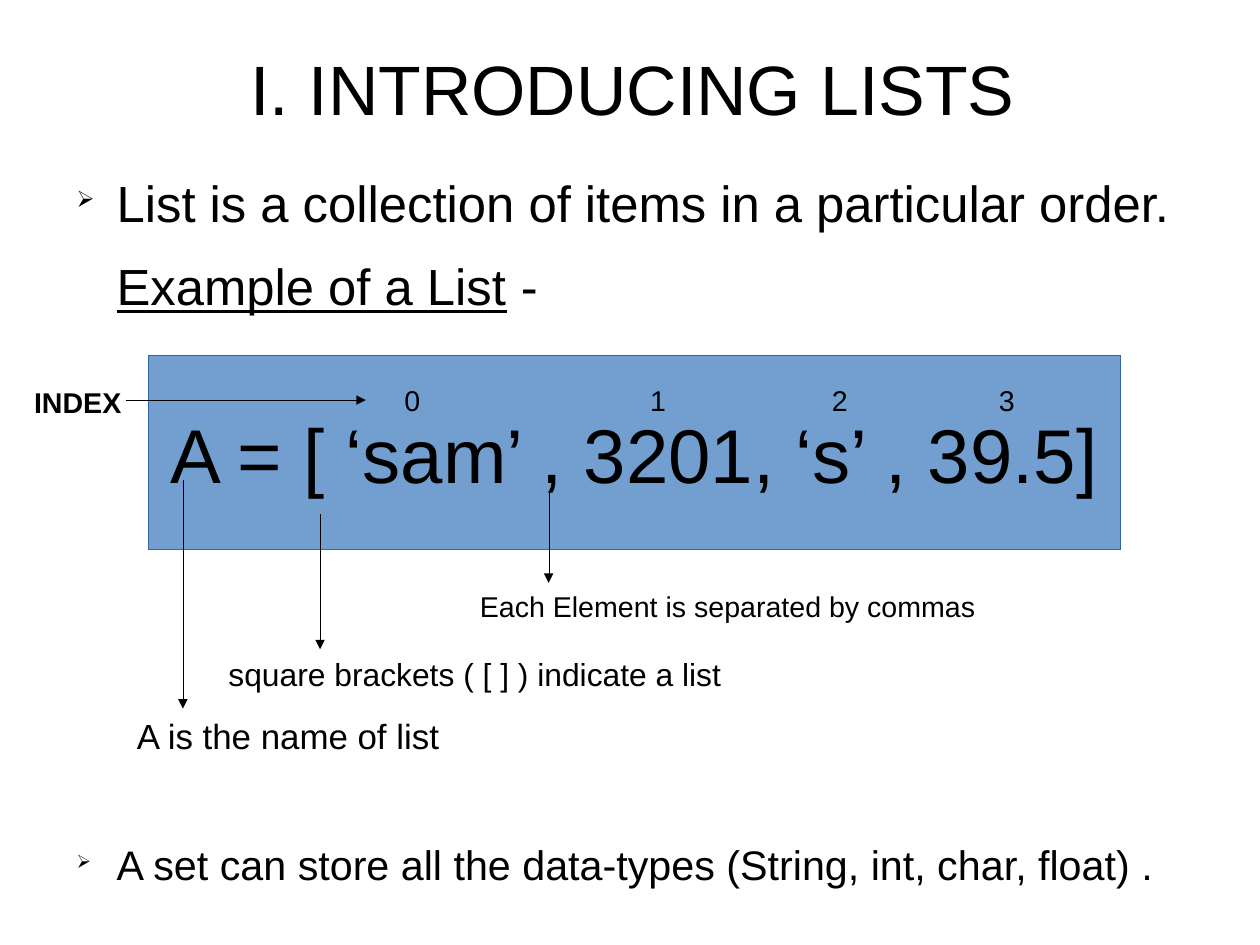
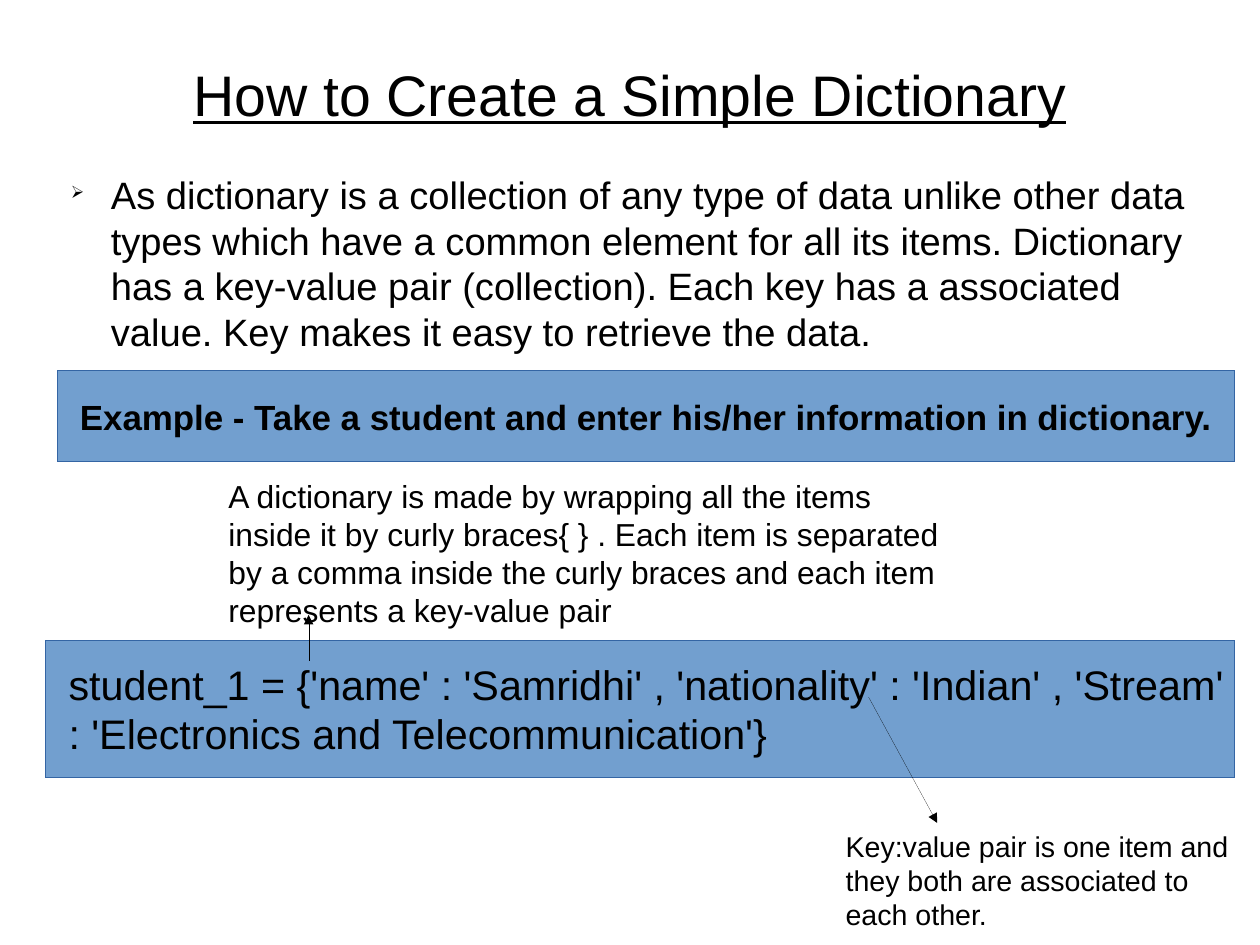
from dataclasses import dataclass

from lxml.etree import SubElement
from pptx import Presentation
from pptx.dml.color import RGBColor
from pptx.enum.shapes import MSO_CONNECTOR, MSO_SHAPE
from pptx.enum.text import MSO_ANCHOR, MSO_AUTO_SIZE, PP_ALIGN
from pptx.oxml.ns import qn
from pptx.util import Cm, Inches, Pt


@dataclass(frozen=True)
class Theme:
    font: str = "Arial"
    ink: RGBColor = RGBColor(0x00, 0x00, 0x00)
    panel: RGBColor = RGBColor(0x72, 0x9F, 0xCF)
    panel_edge: RGBColor = RGBColor(0x34, 0x65, 0xA4)
    title: int = 44
    subtitle: int = 36
    formula: int = 48
    lead: int = 32
    code: int = 26
    body: int = 24
    strong: int = 22
    note: int = 20
    label: int = 18
    paragraph_gap: float = 14.2
    hairline: float = 0.01


THEME = Theme()


def style_font(font, size, bold=False, underline=False):
    font.name = THEME.font
    font.size = Pt(size)
    font.color.rgb = THEME.ink
    font.bold = bold
    font.underline = underline


def style_runs(paragraph, size, **style):
    for span in paragraph.runs:
        style_font(span.font, size, **style)


def set_margins(frame, left=0.1, top=0.05, right=0.1, bottom=0.05):
    frame.margin_left, frame.margin_top = Inches(left), Inches(top)
    frame.margin_right, frame.margin_bottom = Inches(right), Inches(bottom)


def indent(paragraph, left=0.47, first_line=0.0):
    properties = paragraph._p.get_or_add_pPr()
    properties.set("marL", str(Inches(left)))
    properties.set("indent", str(Inches(first_line)))
    return properties


def add_page(deck, title, size, left, top, height, numbered=False, underline=False):
    page = deck.slides.add_slide(deck.slide_layouts[5])
    heading = page.shapes.title
    heading.left, heading.top = Inches(left), Inches(top)
    heading.width, heading.height = Inches(9.92), Inches(height)
    frame = heading.text_frame
    frame.text = title
    frame.auto_size = MSO_AUTO_SIZE.NONE
    frame.vertical_anchor = MSO_ANCHOR.MIDDLE
    set_margins(frame, 0, 0, 0, 0)
    paragraph = frame.paragraphs[0]
    paragraph.alignment = PP_ALIGN.CENTER
    if numbered:
        properties = indent(paragraph, 0.24, -0.24)
        SubElement(properties, qn("a:buAutoNum"), type="romanUcPeriod")
    style_runs(paragraph, size, underline=underline)
    return page


def add_text(page, text, left, top, width, height, size, **style):
    box = page.shapes.add_textbox(Inches(left), Inches(top), Inches(width), Inches(height))
    frame = box.text_frame
    frame.word_wrap = True
    set_margins(frame)
    frame.text = text
    style_runs(frame.paragraphs[0], size, **style)
    return frame


def add_bullet(page, text, left, top, height, size):
    frame = add_text(page, text, left, top, 9.92, height, size)
    set_margins(frame, 0, 0, 0, 0)
    properties = indent(frame.paragraphs[0], first_line=-0.35)
    SubElement(properties, qn("a:buSzPct"), val="45000")
    SubElement(properties, qn("a:buChar"), char="➢")
    return frame


def add_panel(page, text, left, top, width, height, size,
              align=PP_ALIGN.LEFT, wrap=True, **style):
    panel = page.shapes.add_shape(
        MSO_SHAPE.RECTANGLE, Inches(left), Inches(top), Inches(width), Inches(height))
    panel.shadow.inherit = False
    panel.fill.solid()
    panel.fill.fore_color.rgb = THEME.panel
    panel.line.color.rgb = THEME.panel_edge
    panel.line.width = Pt(THEME.hairline)
    frame = panel.text_frame
    frame.text = text
    frame.word_wrap = wrap
    frame.vertical_anchor = MSO_ANCHOR.MIDDLE
    if align == PP_ALIGN.LEFT:
        set_margins(frame, left=0.2, right=0)
    else:
        set_margins(frame)
    frame.paragraphs[0].alignment = align
    style_runs(frame.paragraphs[0], size, **style)


def add_arrow(page, start, end):
    arrow = page.shapes.add_connector(
        MSO_CONNECTOR.STRAIGHT, *(Inches(value) for value in (*start, *end)))
    arrow.line.color.rgb = THEME.ink
    arrow.line.width = Pt(THEME.hairline)
    SubElement(arrow.line._get_or_add_ln(), qn("a:tailEnd"), type="triangle")
    SubElement(arrow._element.spPr, qn("a:effectLst"))


def add_index_row(page, left, top, centres):
    """Number the list items, each figure centred on its own tab stop."""
    text = "".join(f"\t{index}" for index in range(len(centres)))
    frame = add_text(page, text, left, top, 8, 0.38, THEME.label)
    tabs = SubElement(frame.paragraphs[0]._p.get_or_add_pPr(), qn("a:tabLst"))
    for centre in centres:
        position = Inches(centre - left - 0.1)
        SubElement(tabs, qn("a:tab"), pos=str(position), algn="ctr")


def build_lists_page(deck):
    page = add_page(deck, " INTRODUCING LISTS", THEME.title, 0.58, 0.23, 1.07,
                    numbered=True)
    intro = add_bullet(page, "List is a collection of items in a particular order.",
                       0.55, 1.5, 1.4, THEME.lead)
    example = intro.add_paragraph()
    indent(example)
    example.space_before = Pt(THEME.paragraph_gap)
    for text, underline in (("Example of a List", True), (" -", False)):
        span = example.add_run()
        span.text = text
        style_font(span.font, THEME.lead, underline=underline)
    add_bullet(page, "A set can store all the data-types (String, int, char, float) .",
               0.55, 7.34, 0.5, THEME.code)

    add_panel(page, "A = [ ‘sam’ , 3201, ‘s’ , 39.5]", 1.3, 3.11, 8.5, 1.7,
              THEME.formula, align=PP_ALIGN.CENTER, wrap=False)
    add_index_row(page, 1.5, 3.3, (3.61, 5.76, 7.35, 8.81))
    add_text(page, "INDEX", 0.2, 3.32, 1, 0.38, THEME.label, bold=True)
    add_text(page, "A is the name of list", 1.1, 6.2, 3.1, 0.78, THEME.strong)
    add_text(page, "square brackets ( [ ] ) indicate a list",
             1.9, 5.68, 4.7, 0.72, THEME.note)
    add_text(page, "Each Element is separated by commas", 4.1, 5.1, 5, 0.66, THEME.label)
    for start, end in (((1.1, 3.5), (3.2, 3.5)), ((1.6, 4.2), (1.6, 6.2)),
                       ((2.8, 4.5), (2.8, 5.68)), ((4.8, 4.3), (4.8, 5.1))):
        add_arrow(page, start, end)


def build_dictionary_page(deck):
    page = add_page(deck, "How to Create a Simple Dictionary", THEME.subtitle,
                    0.55, 0.33, 0.97, underline=True)
    add_bullet(page, "As dictionary is a collection of any type of data unlike other data "
               "types which have a common element for all its items. Dictionary has a "
               "key-value pair (collection). Each key has a associated value. Key makes "
               "it easy to retrieve the data.", 0.5, 1.5, 1.7, THEME.body)
    add_panel(page, "Example - Take a student and enter his/her information in dictionary.",
              0.5, 3.24, 10.3, 0.8, THEME.strong, bold=True)
    add_panel(page, "student_1 = {'name' : 'Samridhi' , 'nationality' : 'Indian' , "
              "'Stream' : 'Electronics and Telecommunication'}",
              0.4, 5.6, 10.4, 1.2, THEME.code)
    add_text(page, "A dictionary is made by wrapping all the items inside it by curly "
             "braces{ } . Each item is separated by a comma inside the curly braces and "
             "each item represents a key-value pair", 1.9, 4.12, 6.5, 1.4, THEME.note)
    add_text(page, "Key:value pair is one item and they both are associated to each other.",
             7.3, 7.2, 3.6, 0.94, THEME.label)
    add_arrow(page, (2.7, 5.78), (2.7, 5.38))
    add_arrow(page, (7.6, 6.1), (8.2, 7.2))


def main():
    deck = Presentation()
    deck.slide_width, deck.slide_height = Cm(28), Cm(21)
    build_lists_page(deck)
    build_dictionary_page(deck)
    deck.save("out.pptx")


if __name__ == "__main__":
    main()
